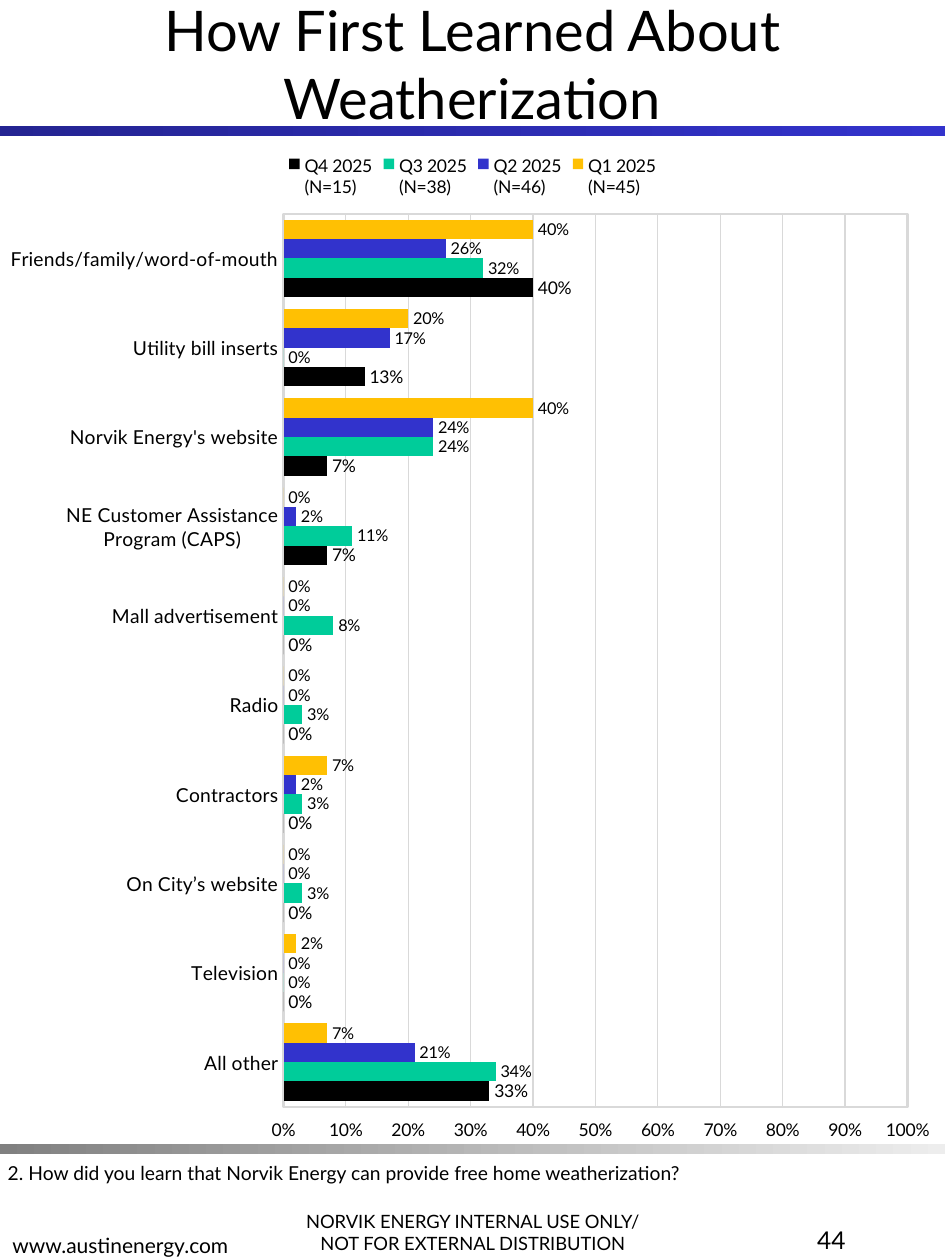
from lxml.etree import SubElement
from pptx import Presentation
from pptx.chart.data import CategoryChartData
from pptx.dml.color import RGBColor
from pptx.enum.chart import (XL_CHART_TYPE as ChartType, XL_LABEL_POSITION as LabelPos,
                             XL_LEGEND_POSITION as LegendPos, XL_TICK_MARK as Tick,
                             XL_TICK_LABEL_POSITION as TickLabelPos)
from pptx.enum.shapes import MSO_SHAPE as Shape
from pptx.enum.text import MSO_ANCHOR as Anchor, PP_ALIGN as Align
from pptx.oxml import parse_xml
from pptx.oxml.ns import nsdecls, qn
from pptx.util import Inches, Pt

FONT = "Lato"
BLACK = RGBColor(0x00, 0x00, 0x00)
GRID = RGBColor(0xD9, 0xD9, 0xD9)
NAVY = RGBColor(0x24, 0x24, 0x92)
BLUE = RGBColor(0x33, 0x33, 0xCC)
GREY = RGBColor(0x80, 0x80, 0x80)
PALE = RGBColor(0xED, 0xED, 0xED)
YELLOW = RGBColor(0xFF, 0xC0, 0x03)
INDIGO = RGBColor(0x32, 0x33, 0xCC)
GREEN = RGBColor(0x00, 0xCC, 0x9A)

WIDTH, HEIGHT = Inches(7.5), Inches(10)
COLUMN, ROW = WIDTH / 100, HEIGHT / 100

SOURCES = ["Friends/family/word-of-mouth", "Utility bill inserts", "Norvik Energy's website",
           "NE Customer Assistance Program (CAPS)", "Mall advertisement", "Radio",
           "Contractors", "On City’s website", "Television", "All other"]
QUARTERS = [
    ("Q1 2025\n(N=45)", YELLOW, 9.3, [0.4, 0.2, 0.4, 0, 0, 0, 0.07, 0, 0.02, 0.07]),
    ("Q2 2025\n(N=46)", INDIGO, 9.3, [0.26, 0.17, 0.24, 0.02, 0, 0, 0.02, 0, 0, 0.21]),
    ("Q3 2025\n(N=38)", GREEN, 9.3, [0.32, 0, 0.24, 0.11, 0.08, 0.03, 0.03, 0.03, 0, 0.34]),
    ("Q4 2025\n(N=15)", BLACK, 10, [0.4, 0.13, 0.07, 0.07, 0, 0, 0, 0, 0, 0.33]),
]
PLOT = {"x": 0.298, "y": 0.066, "w": 0.667, "h": 0.81}


def grid_box(column, row, columns, rows):
    """Turn grid units into left, top, width and height."""
    return int(column * COLUMN), int(row * ROW), int(columns * COLUMN), int(rows * ROW)


def style_font(font, size):
    """Apply the deck font in black at a size."""
    font.name, font.size, font.bold = FONT, Pt(size), False
    font.color.rgb = BLACK


def fill_text(frame, lines, size, align=Align.LEFT, anchor=Anchor.TOP):
    """Write lines into a text frame as paragraphs."""
    frame.word_wrap = True
    frame.vertical_anchor = anchor
    frame.text = "\n".join(lines)
    for paragraph in frame.paragraphs:
        paragraph.alignment = align
        style_font(paragraph.font, size)


def add_title(slide, box, text):
    """Move and format the title placeholder."""
    title = slide.shapes.title
    title.left, title.top, title.width, title.height = box
    fill_text(title.text_frame, [text], 32, Align.CENTER, Anchor.MIDDLE)


def add_band(slide, box, start, end):
    """Draw a full-width band shading from left to right."""
    band = slide.shapes.add_shape(Shape.RECTANGLE, *box)
    band.shadow.inherit = False
    band.line.fill.background()
    band.fill.gradient()
    band.fill.gradient_angle = 0
    for stop, color in zip(band.fill.gradient_stops, (start, end)):
        stop.color.rgb = color


def add_note(slide, box, lines, size, align=Align.LEFT, anchor=Anchor.TOP):
    """Add a text box with formatted lines."""
    fill_text(slide.shapes.add_textbox(*box).text_frame, lines, size, align, anchor)


def frame_plot(chart):
    """Fix the inner plot area and outline it."""
    plot_area = chart._chartSpace.chart.plotArea
    for old in plot_area.findall(qn("c:layout")):
        plot_area.remove(old)
    layout = parse_xml(f"<c:layout {nsdecls('c')}><c:manualLayout/></c:layout>")
    manual = layout[0]
    SubElement(manual, qn("c:layoutTarget")).set("val", "inner")
    for side in "xy":
        SubElement(manual, qn(f"c:{side}Mode")).set("val", "edge")
    for side, share in PLOT.items():
        SubElement(manual, qn(f"c:{side}")).set("val", str(share))
    plot_area.insert(0, layout)
    plot_area.append(parse_xml(
        f"<c:spPr {nsdecls('c', 'a')}><a:noFill/><a:ln w='{Pt(1.25)}'><a:solidFill>"
        f"<a:srgbClr val='{GRID}'/></a:solidFill></a:ln></c:spPr>"))


def style_axis(axis, size, line_width):
    """Format an axis line and its labels."""
    axis.major_tick_mark = axis.minor_tick_mark = Tick.NONE
    axis.format.line.color.rgb = GRID
    axis.format.line.width = Pt(line_width)
    style_font(axis.tick_labels.font, size)


def add_source_chart(slide, box):
    """Chart how customers first learned, by quarter."""
    data = CategoryChartData(number_format="0%")
    data.categories = SOURCES
    for name, _, _, shares in QUARTERS:
        data.add_series(name, shares)
    chart = slide.shapes.add_chart(ChartType.BAR_CLUSTERED, *box, data).chart
    style_font(chart.font, 10)
    chart.has_title = False
    chart.has_legend = True
    chart.legend.position = LegendPos.TOP
    chart.legend.include_in_layout = False
    style_font(chart.legend.font, 10)

    sources, shares = chart.category_axis, chart.value_axis
    style_axis(sources, 11, 0.63)
    sources.reverse_order = True
    style_axis(shares, 10, 0.42)
    shares.tick_label_position = TickLabelPos.HIGH
    shares.minimum_scale, shares.maximum_scale, shares.major_unit = 0, 1, 0.1
    shares.tick_labels.number_format = "0%"
    shares.tick_labels.number_format_is_linked = False
    shares.major_gridlines.format.line.color.rgb = GRID
    shares.major_gridlines.format.line.width = Pt(0.63)

    bars = chart.plots[0]
    bars.gap_width, bars.overlap, bars.vary_by_categories = 62, 0, False
    for quarter, (_, color, size, _) in zip(bars.series, QUARTERS):
        quarter.format.fill.solid()
        quarter.format.fill.fore_color.rgb = color
        quarter.invert_if_negative = False
        labels = quarter.data_labels
        labels.show_value = True
        labels.position = LabelPos.OUTSIDE_END
        labels.number_format, labels.number_format_is_linked = "0%", False
        style_font(labels.font, size)
    frame_plot(chart)


def add_footer(slide, row):
    """Place the notice, address and page number from a row down."""
    add_note(slide, grid_box(28.8, row, 42.5, 6.7),
             ["NORVIK ENERGY INTERNAL USE ONLY/", "NOT FOR EXTERNAL DISTRIBUTION"],
             10.5, Align.CENTER, Anchor.BOTTOM)
    add_note(slide, grid_box(0, row + 0.3, 42.5, 6.7), ["www.austinenergy.com"],
             12, anchor=Anchor.BOTTOM)
    add_note(slide, grid_box(70, row + 3.4, 20.8, 6.7), ["44"], 14, Align.RIGHT)


def main():
    """Build the slide and save it."""
    deck = Presentation()
    deck.slide_width, deck.slide_height = WIDTH, HEIGHT
    slide = deck.slides.add_slide(deck.slide_layouts[5])
    add_title(slide, grid_box(0, 0, 100, 10), "How First Learned About Weatherization")
    add_band(slide, grid_box(0, 10, 100, 0.8), NAVY, BLUE)
    add_band(slide, grid_box(0, 90.8, 100, 0.8), GREY, PALE)
    add_footer(slide, 93.3)
    add_note(slide, grid_box(-0.5, 91.7, 91.3, 2.9),
             ["2. How did you learn that Norvik Energy can provide free home weatherization?"], 11)
    add_source_chart(slide, grid_box(0.5, 11.2, 99, 87.5))
    deck.save("out.pptx")


if __name__ == "__main__":
    main()
